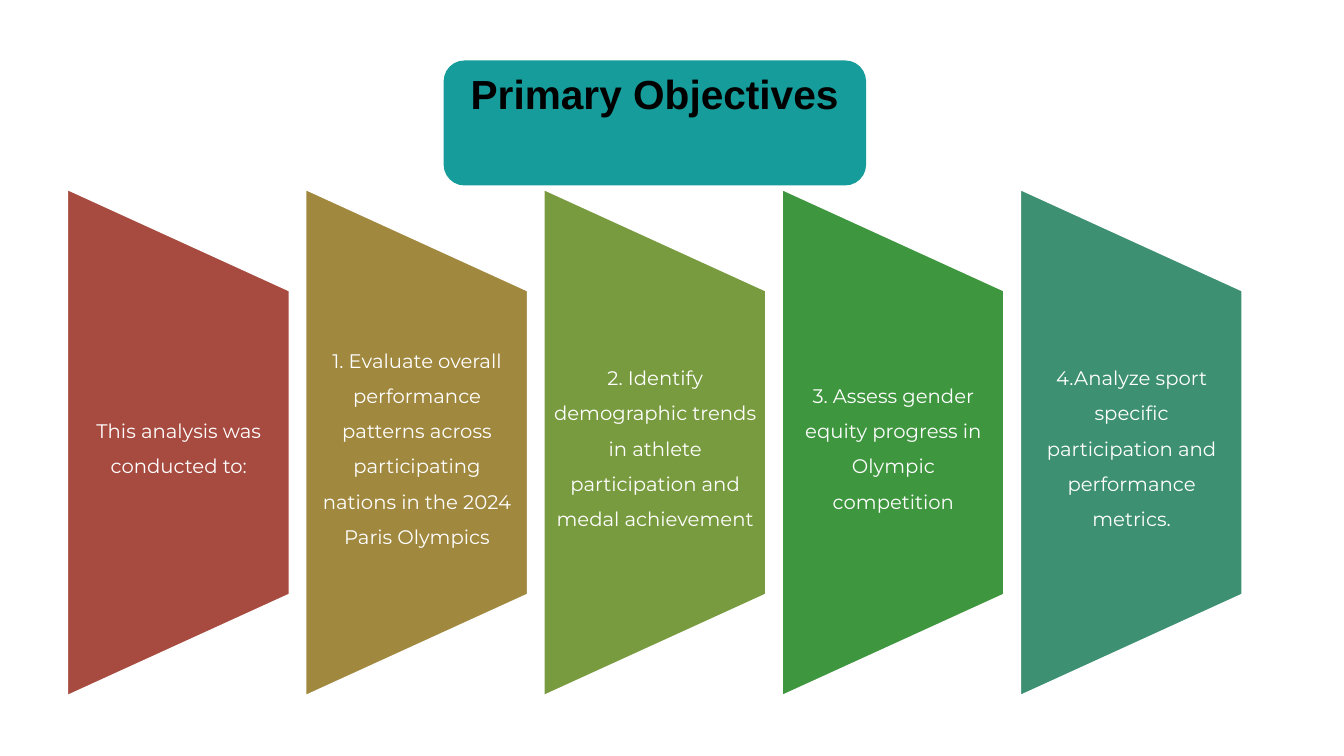
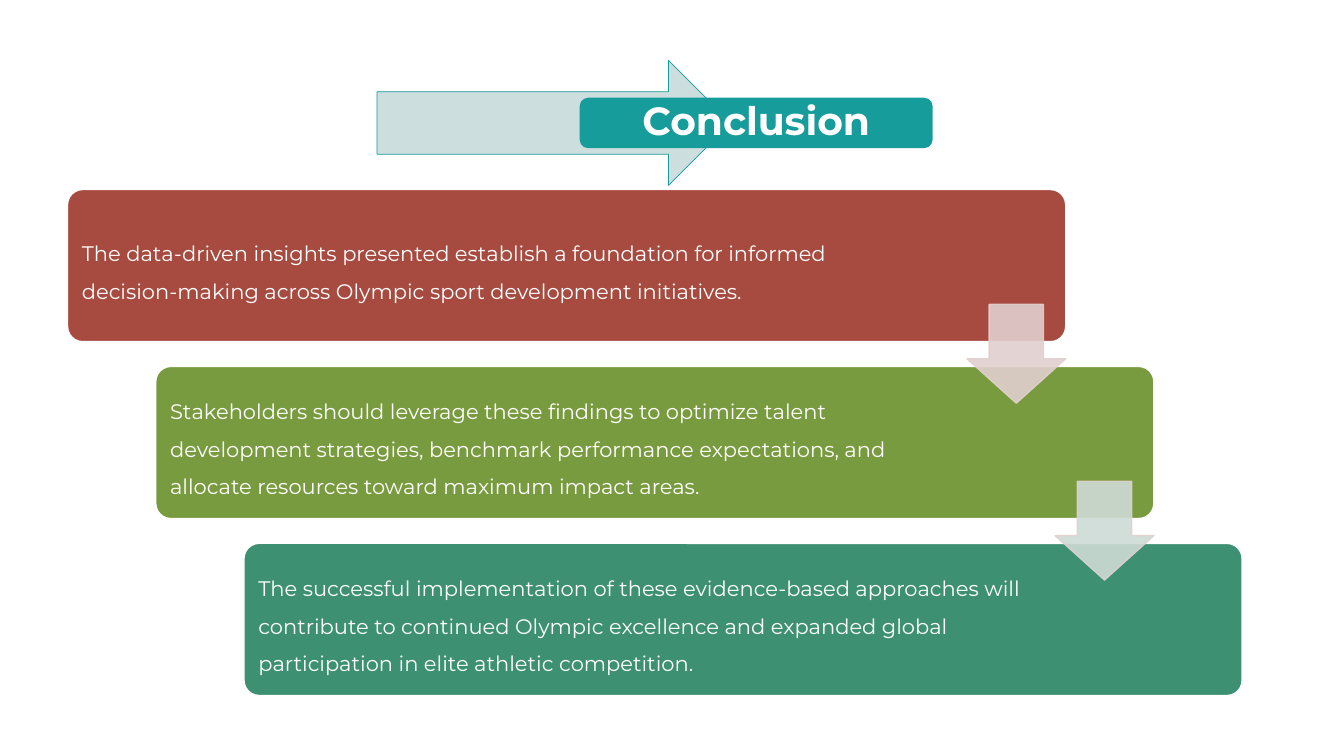
"""Builds the objectives and conclusion slides."""
from dataclasses import dataclass

import pptx
import pptx.dml.color
import pptx.enum.shapes
import pptx.enum.text
import pptx.oxml
import pptx.oxml.ns
import pptx.presentation
import pptx.shapes.autoshape
import pptx.slide
import pptx.text.text
import pptx.util

RGBColor = pptx.dml.color.RGBColor
MSO_SHAPE = pptx.enum.shapes.MSO_SHAPE
PP_ALIGN = pptx.enum.text.PP_ALIGN
MSO_ANCHOR = pptx.enum.text.MSO_ANCHOR
Inches = pptx.util.Inches
Pt = pptx.util.Pt

WHITE = RGBColor(0xFF, 0xFF, 0xFF)
BLACK = RGBColor(0x00, 0x00, 0x00)
TEAL = RGBColor(0x16, 0x9C, 0x9A)
PALE_TEAL = RGBColor(0xCC, 0xDE, 0xDE)
RED = RGBColor(0xA7, 0x4B, 0x40)
OCHRE = RGBColor(0xA1, 0x88, 0x3F)
OLIVE = RGBColor(0x79, 0x9B, 0x3F)
GREEN = RGBColor(0x3E, 0x96, 0x3E)
SEA = RGBColor(0x3D, 0x90, 0x72)
PALE_RED = RGBColor(0xE1, 0xD0, 0xCF)
PALE_SEA = RGBColor(0xCE, 0xDB, 0xD5)

BODY_FONT = "Montserrat"
SLIDE_W, SLIDE_H = 13.33, 7.5
AREA_X, AREA_Y, AREA_W, AREA_H = 0.67, 1.88, 11.65, 5.02
BANNER_Y, BANNER_H = 0.6, 1.24
PANEL_W, PANEL_TEXT_H = 2.2, 3.01
CARD_W, CARD_H, CARD_TEXT_W = 9.9, 1.51, 7.84
ARROW_SIZE, ARROW_DROP = 0.98, 1.14


@dataclass(frozen=True)
class Box:
    x: float
    y: float
    w: float
    h: float

    def emu(self) -> tuple:
        return tuple(Inches(v) for v in (self.x, self.y, self.w, self.h))


@dataclass(frozen=True)
class TextStyle:
    size: float
    color: RGBColor = WHITE
    font: str = BODY_FONT
    bold: bool = False
    align: PP_ALIGN = PP_ALIGN.CENTER
    anchor: MSO_ANCHOR = MSO_ANCHOR.MIDDLE
    spacing: float = 1.5
    insets: tuple = (0.1, 0, 0.09, 0)


@dataclass(frozen=True)
class Item:
    text: str
    color: RGBColor


PANEL_STYLE = TextStyle(14)
CARD_STYLE = TextStyle(15, align=PP_ALIGN.LEFT,
                       insets=(0.1, 0.1, CARD_W - CARD_TEXT_W - 0.1, 0.1))
OBJECTIVES_TITLE = TextStyle(29, BLACK, "Arial", True, anchor=MSO_ANCHOR.TOP,
                             spacing=0.9, insets=(0.12, 0.14, 0.12, 0.06))
CONCLUSION_TITLE = TextStyle(28, bold=True, spacing=0.9, insets=(0.12, 0, 0.12, 0))

OBJECTIVES = [
    Item("This analysis was conducted to:", RED),
    Item("1. Evaluate overall performance patterns across participating nations "
         "in the 2024 Paris Olympics", OCHRE),
    Item("2. Identify demographic trends in athlete participation and medal "
         "achievement", OLIVE),
    Item("3. Assess gender equity progress in Olympic competition", GREEN),
    Item("4.Analyze sport specific participation and performance metrics.", SEA),
]
CONCLUSIONS = [
    Item("The data-driven insights presented establish a foundation for informed "
         "decision-making across Olympic sport development initiatives.", RED),
    Item("Stakeholders should leverage these findings to optimize talent development "
         "strategies, benchmark performance expectations, and allocate resources "
         "toward maximum impact areas.", OLIVE),
    Item("The successful implementation of these evidence-based approaches will "
         "contribute to continued Olympic excellence and expanded global participation "
         "in elite athletic competition.", SEA),
]
ARROW_COLORS = [PALE_RED, PALE_SEA]


def write(tf: pptx.text.text.TextFrame, text: str, style: TextStyle) -> None:
    tf.word_wrap = True
    tf.auto_size = pptx.enum.text.MSO_AUTO_SIZE.NONE
    tf.vertical_anchor = style.anchor
    tf.margin_left, tf.margin_top, tf.margin_right, tf.margin_bottom = (
        Inches(v) for v in style.insets)
    p = tf.paragraphs[0]
    p.alignment = style.align
    p.line_spacing = style.spacing
    r = p.add_run()
    r.text = text
    r.font.name, r.font.size, r.font.bold = style.font, Pt(style.size), style.bold
    r.font.color.rgb = style.color


def add_block(s: pptx.slide.Slide, kind: MSO_SHAPE, box: Box, fill: RGBColor,
              line: RGBColor | None = None, width: float = 1,
              adjustments: tuple = ()) -> pptx.shapes.autoshape.Shape:
    sp = s.shapes.add_shape(kind, *box.emu())
    sp.shadow.inherit = False
    sp.fill.solid()
    sp.fill.fore_color.rgb = fill
    if line is None:
        sp.line.fill.background()
    else:
        sp.line.color.rgb = line
        sp.line.width = Pt(width)
    for i, value in enumerate(adjustments):
        sp.adjustments[i] = value
    return sp


def set_opacity(sp: pptx.shapes.autoshape.Shape, percent: int) -> None:
    qn = pptx.oxml.ns.qn
    for color in sp.element.spPr.iter(qn("a:srgbClr")):
        alpha = pptx.oxml.parse_xml(
            f'<a:alpha {pptx.oxml.ns.nsdecls("a")} val="{percent * 1000}"/>')
        color.append(alpha)


def set_title(s: pptx.slide.Slide, text: str, box: Box, style: TextStyle) -> None:
    add_block(s, MSO_SHAPE.ROUNDED_RECTANGLE, box, TEAL)
    title = s.shapes.title
    title.left, title.top, title.width, title.height = box.emu()
    write(title.text_frame, text, style)
    title.element.getparent().append(title.element)


def add_slide(prs: pptx.presentation.Presentation) -> pptx.slide.Slide:
    s = prs.slides.add_slide(prs.slide_layouts.get_by_name("Title Only"))
    s.background.fill.solid()
    s.background.fill.fore_color.rgb = WHITE
    return s


def build_objectives(prs: pptx.presentation.Presentation) -> None:
    s = add_slide(prs)
    set_title(s, "Primary Objectives", Box(4.4, BANNER_Y + 0.0, 4.19, BANNER_H),
              OBJECTIVES_TITLE)
    step = (AREA_W - PANEL_W) / (len(OBJECTIVES) - 1)
    middle = AREA_Y + AREA_H / 2
    for i, item in enumerate(OBJECTIVES):
        x = AREA_X + i * step
        panel = Box(x + (PANEL_W - AREA_H) / 2, middle - PANEL_W / 2, AREA_H, PANEL_W)
        sp = add_block(s, MSO_SHAPE.FLOWCHART_MANUAL_OPERATION, panel, item.color, WHITE)
        sp.rotation = 270
        text_box = Box(x, middle - PANEL_TEXT_H / 2, PANEL_W, PANEL_TEXT_H)
        tb = s.shapes.add_textbox(*text_box.emu())
        write(tb.text_frame, item.text, PANEL_STYLE)


def build_conclusion(prs: pptx.presentation.Presentation) -> None:
    s = add_slide(prs)
    add_block(s, MSO_SHAPE.RIGHT_ARROW, Box(3.74, BANNER_Y, 3.51, BANNER_H),
              PALE_TEAL, TEAL, 0.5)
    set_title(s, "Conclusion", Box(5.75, 0.97, 3.5, 0.5), CONCLUSION_TITLE)
    gaps = len(CONCLUSIONS) - 1
    dx, dy = (AREA_W - CARD_W) / gaps, (AREA_H - CARD_H) / gaps
    for i, item in enumerate(CONCLUSIONS):
        card = Box(AREA_X + i * dx, AREA_Y + i * dy, CARD_W, CARD_H)
        sp = add_block(s, MSO_SHAPE.ROUNDED_RECTANGLE, card, item.color, WHITE,
                       adjustments=(0.1,))
        write(sp.text_frame, item.text, CARD_STYLE)
    for i, color in enumerate(ARROW_COLORS):
        arrow = Box(AREA_X + i * dx + CARD_W - ARROW_SIZE,
                    AREA_Y + i * dy + ARROW_DROP, ARROW_SIZE, ARROW_SIZE)
        sp = add_block(s, MSO_SHAPE.DOWN_ARROW, arrow, color, PALE_RED,
                       adjustments=(0.55, 0.45))
        set_opacity(sp, 90)


def main() -> None:
    prs = pptx.Presentation()
    prs.slide_width, prs.slide_height = Inches(SLIDE_W), Inches(SLIDE_H)
    build_objectives(prs)
    build_conclusion(prs)
    prs.save("out.pptx")


if __name__ == "__main__":
    main()
